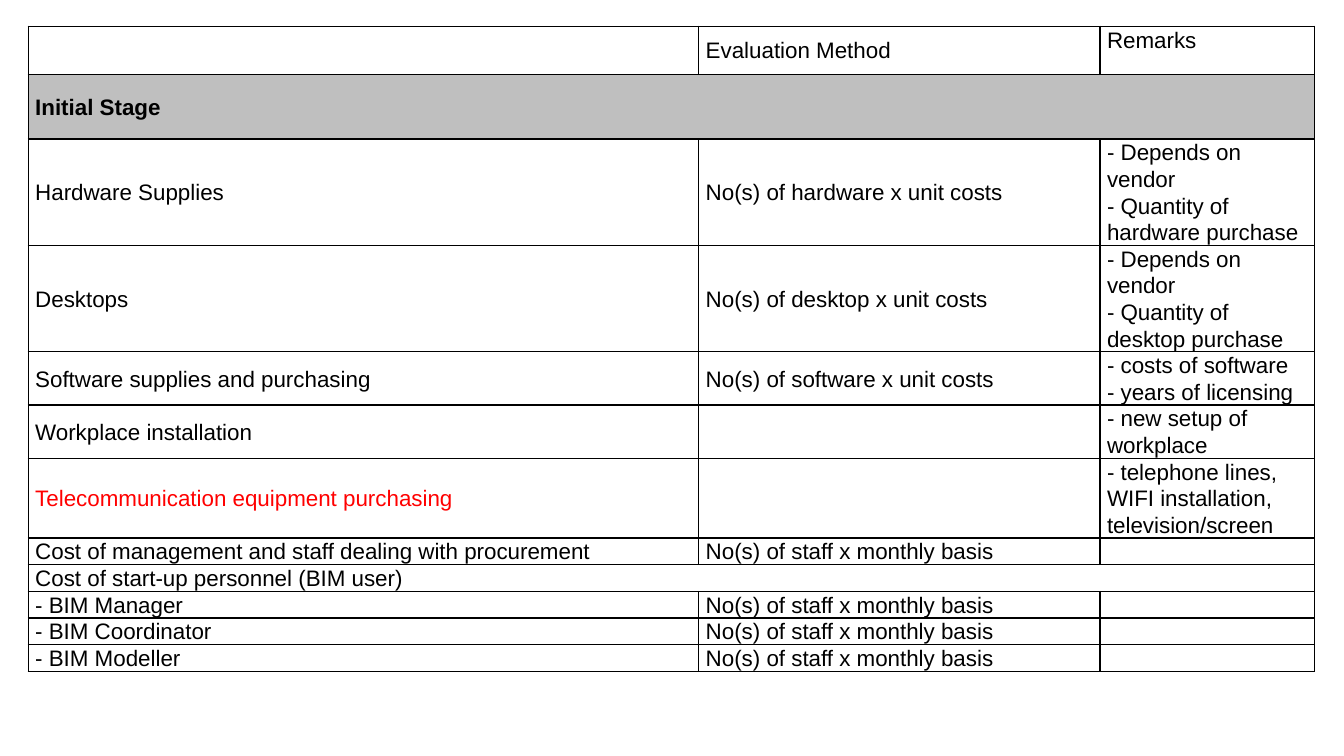
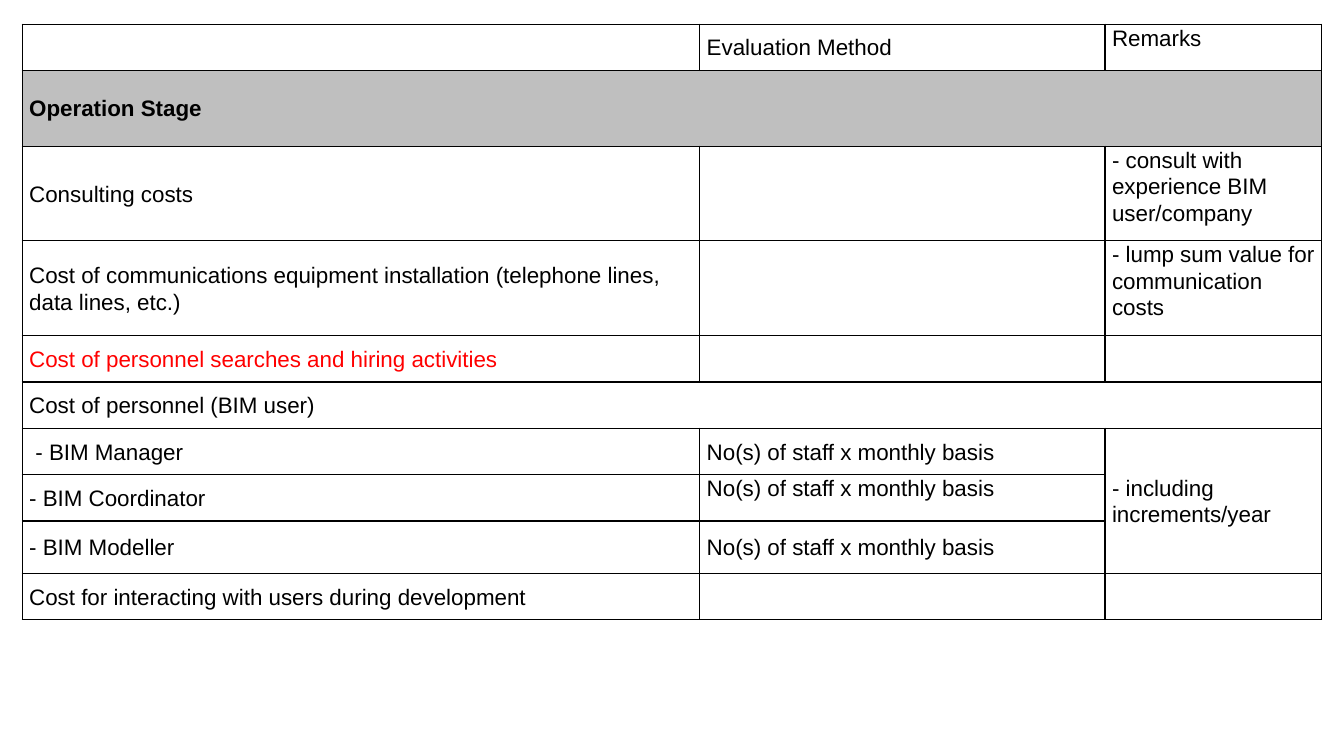
from lxml.etree import SubElement
from pptx import Presentation
from pptx.dml.color import RGBColor
from pptx.enum.text import MSO_ANCHOR as Anchor
from pptx.oxml.ns import qn
from pptx.util import Inches, Pt

SLIDE_SIZE = (13.33, 7.5)
INK, ALERT, BAND = "000000", "FF0000", "BFBFBF"
FONT, TEXT_SIZE, LINE_SPACING = "Arial", 16, 1.07
SIDE_MARGIN, BORDER_WIDTH = 0.07, 1
HEADER = ("", "Evaluation Method", "Remarks")
STAFF = "No(s) of staff x monthly basis"

TABLES = [
    {
        "at": (0.28, 0.26),
        "columns": (6.65, 3.98, 2.13),
        "rows": [
            (0.48, HEADER),
            (0.64, ("Initial Stage",)),
            (0.65, ("Hardware Supplies", "No(s) of hardware x unit costs",
                    "- Depends on vendor\n- Quantity of hardware purchase")),
            (0.65, ("Desktops", "No(s) of desktop x unit costs",
                    "- Depends on vendor\n- Quantity of desktop purchase")),
            (0.43, ("Software supplies and purchasing", "No(s) of software x unit costs",
                    "- costs of software\n- years of licensing")),
            (0.43, ("Workplace installation", "", "- new setup of workplace")),
            (0.65, ("Telecommunication equipment purchasing", "",
                    "- telephone lines, WIFI installation, television/screen")),
            (0.21, ("Cost of management and staff dealing with procurement", STAFF, "")),
            (0.21, ("Cost of start-up personnel (BIM user)",)),
            (0.21, ("- BIM Manager", STAFF, "")),
            (0.21, ("- BIM Coordinator", STAFF, "")),
            (0.21, ("- BIM Modeller", STAFF, "")),
        ],
        "alert_row": 6,
        "tall_remark": None,
        "top_cells": [],
    },
    {
        "at": (0.22, 0.24),
        "columns": (6.72, 4.02, 2.15),
        "rows": [
            (0.46, HEADER),
            (0.75, ("Operation Stage",)),
            (0.94, ("Consulting costs", "", "- consult with experience BIM user/company")),
            (0.94, ("Cost of communications equipment installation "
                    "(telephone lines, data lines, etc.)", "",
                    "- lump sum value for communication costs")),
            (0.46, ("Cost of personnel searches and hiring activities", "", "")),
            (0.46, ("Cost of personnel (BIM user)",)),
            (0.46, (" - BIM Manager", STAFF, "- including increments/year")),
            (0.46, ("- BIM Coordinator", STAFF, "")),
            (0.52, ("- BIM Modeller", STAFF, "")),
            (0.46, ("Cost for interacting with users during development", "", "")),
        ],
        "alert_row": 4,
        "tall_remark": (6, 8),
        "top_cells": [(7, 1)],
    },
]


def rgb(hex_text):
    return RGBColor.from_string(hex_text)


def add_borders(cell):
    properties = cell._tc.get_or_add_tcPr()
    for side in ("a:lnL", "a:lnR", "a:lnT", "a:lnB"):
        line = SubElement(properties, qn(side), w=str(Pt(BORDER_WIDTH)))
        fill = SubElement(line, qn("a:solidFill"))
        SubElement(fill, qn("a:srgbClr"), val=INK)


def write_paragraph(paragraph, text, color, bold):
    paragraph.line_spacing = LINE_SPACING
    if not text:
        end = SubElement(paragraph._p, qn("a:endParaRPr"), sz=str(TEXT_SIZE * 100))
        SubElement(end, qn("a:latin"), typeface=FONT)
        return
    run = paragraph.add_run()
    run.text = text
    for name, value in {"name": FONT, "size": Pt(TEXT_SIZE), "bold": bold}.items():
        setattr(run.font, name, value)
    run.font.color.rgb = rgb(color)


def format_cell(cell, text, anchor, color=INK, bold=False, band=False):
    layout = {"margin_left": Inches(SIDE_MARGIN), "margin_right": Inches(SIDE_MARGIN),
              "margin_top": 0, "margin_bottom": 0, "vertical_anchor": anchor}
    for name, value in layout.items():
        setattr(cell, name, value)
    add_borders(cell)
    if band:
        cell.fill.solid()
        cell.fill.fore_color.rgb = rgb(BAND)
    else:
        cell.fill.background()
    frame = cell.text_frame
    for index, line in enumerate(text.split("\n")):
        paragraph = frame.add_paragraph() if index else frame.paragraphs[0]
        write_paragraph(paragraph, line, color, bold)


def add_cost_table(slide, content):
    rows, columns = content["rows"], content["columns"]
    left, top = content["at"]
    size = (sum(columns), sum(height for height, _ in rows))
    table = slide.shapes.add_table(len(rows), len(columns),
                                   *map(Inches, (left, top, *size))).table
    table.first_row = table.horz_banding = False
    for column, width in zip(table.columns, columns):
        column.width = Inches(width)

    last = len(columns) - 1
    tall = content["tall_remark"]
    for r, (height, texts) in enumerate(rows):
        table.rows[r].height = Inches(height)
        stage = r == 1
        for c in range(len(columns)):
            remark = c == last and not (tall and r == tall[0])
            at_top = remark or (r, c) in content["top_cells"]
            format_cell(table.cell(r, c), texts[c] if c < len(texts) else "",
                        Anchor.TOP if at_top else Anchor.MIDDLE,
                        color=ALERT if r == content["alert_row"] and c == 0 else INK,
                        bold=stage, band=stage)
        if len(texts) == 1:
            table.cell(r, 0).merge(table.cell(r, last))
    if tall:
        table.cell(tall[0], last).merge(table.cell(tall[1], last))


def main():
    presentation = Presentation()
    presentation.slide_width, presentation.slide_height = map(Inches, SLIDE_SIZE)
    blank = presentation.slide_layouts[6]
    for content in TABLES:
        add_cost_table(presentation.slides.add_slide(blank), content)
    presentation.save("out.pptx")


if __name__ == "__main__":
    main()
